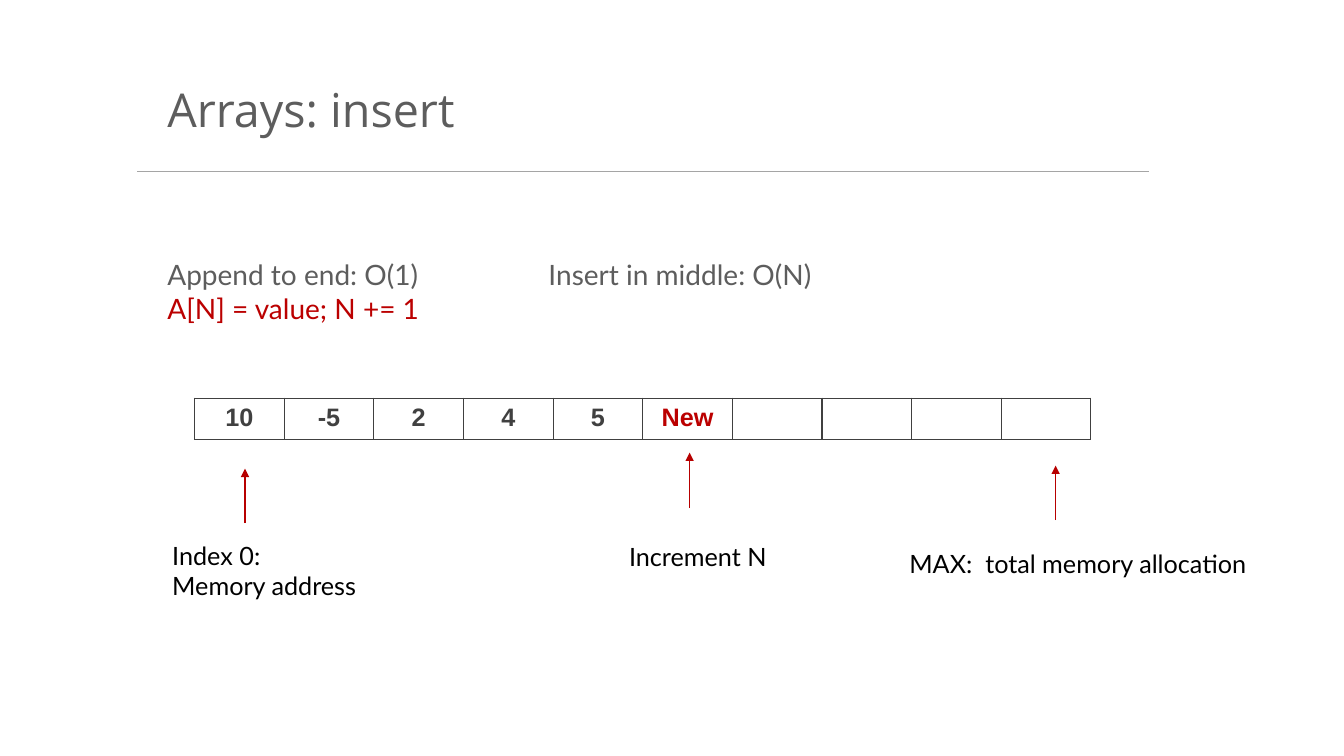
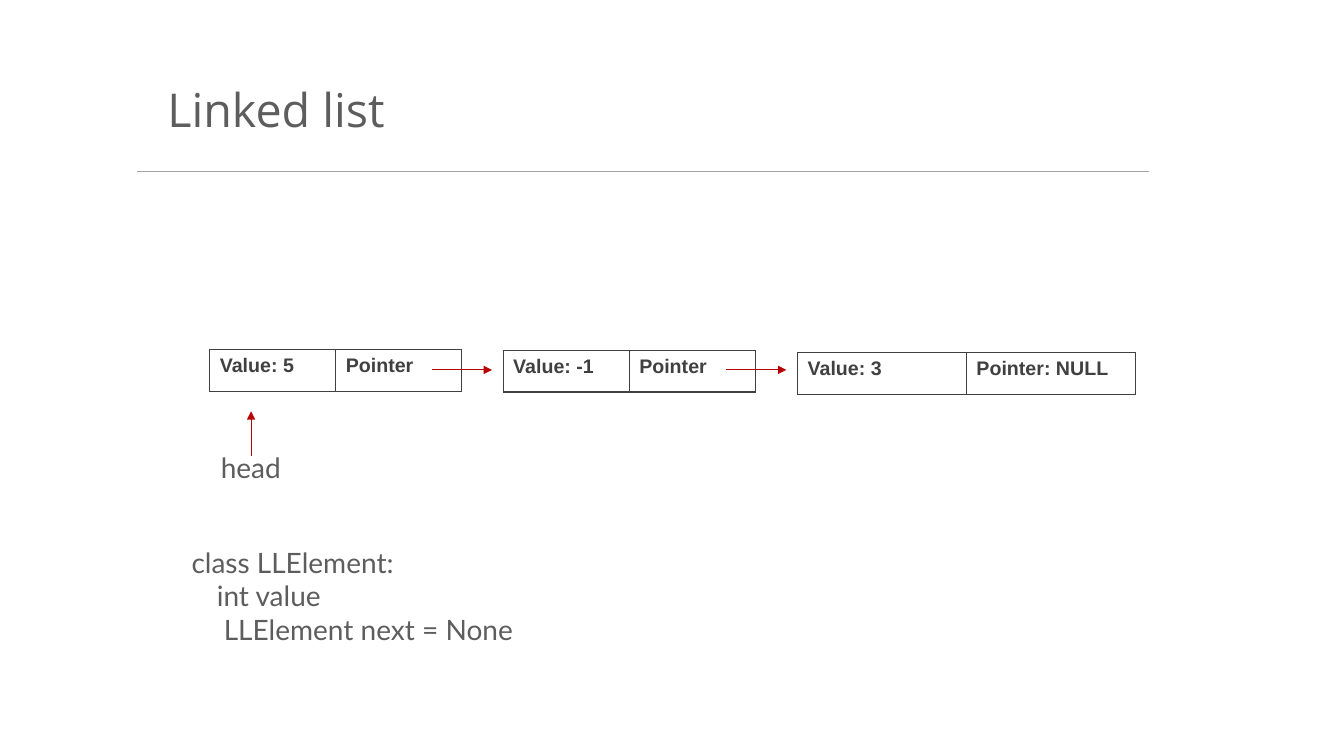
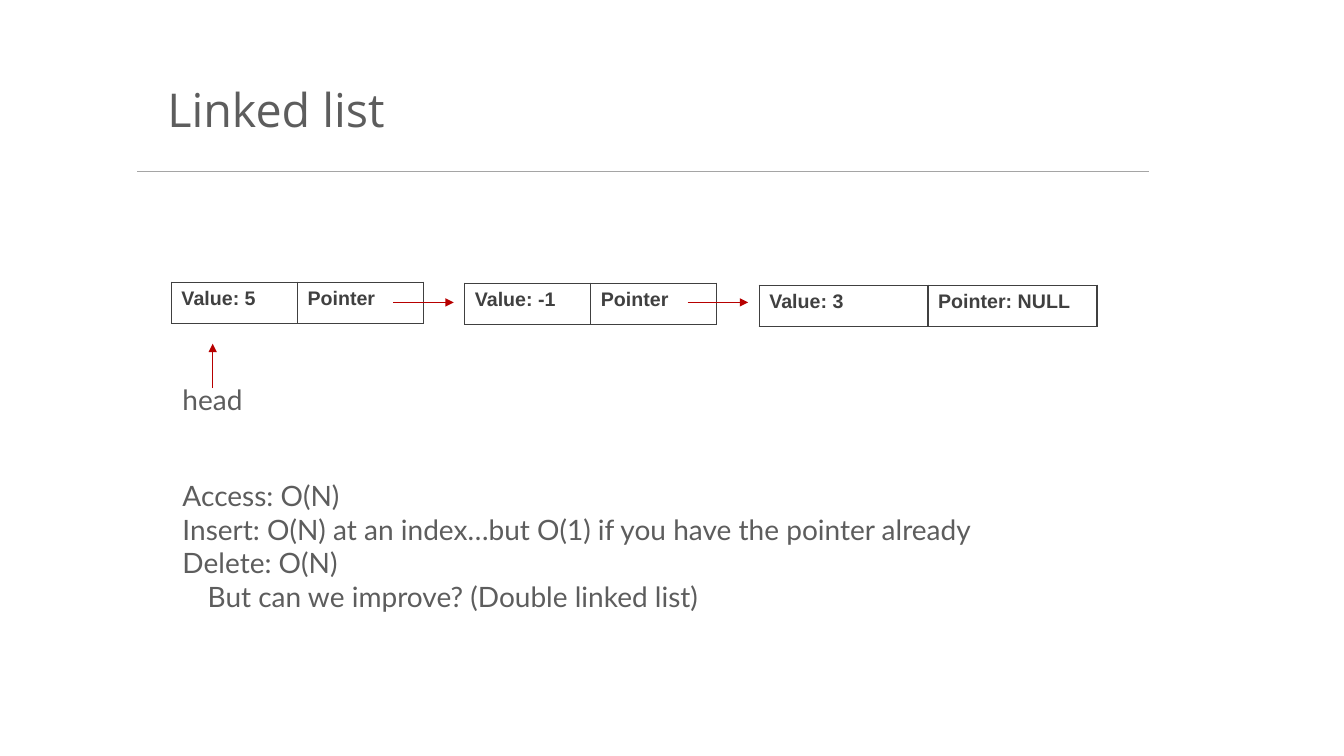
"""Build three slides on inserting into arrays and on linked lists."""
from lxml import etree
from pptx import Presentation
from pptx.dml.color import RGBColor
from pptx.enum import shapes, text
from pptx.oxml import ns
from pptx.util import Inches, Pt

GREY = RGBColor(0x5D, 0x5D, 0x5D)
DARK = RGBColor(0x40, 0x40, 0x40)
RULE = RGBColor(0xA5, 0xA5, 0xA5)
BLACK = RGBColor(0, 0, 0)
RED = RGBColor(0xBB, 0, 0)
ARROW = RGBColor(0xB7, 0, 0)
LEFT, CENTER = text.PP_ALIGN.LEFT, text.PP_ALIGN.CENTER
INDENT, DEEP = 0.25, 0.5
ROW_HEIGHT = 0.41

array = {
    "title": "Arrays: insert",
    "tables": [(1.93, 3.95, 8.89, ["10", "-5", "2", "4", "5", "New", "", "", "", ""], 18, CENTER)],
    "arrows": [(2.43, 5.19, 2.43, 4.65), (6.84, 5.04, 6.84, 4.49), (10.47, 5.16, 10.47, 4.62)],
    "notes": [
        (1.36, 2.51, 3.24, 3.29, [("Append to end: O(1)", INDENT, GREY),
                                  ("A[N] = value; N += 1", INDENT, RED)]),
        (5.14, 2.51, 3.24, 3.29, [("Insert in middle: O(N)", INDENT, GREY)]),
    ],
    "labels": [
        (1.61, 5.31, 2.31, 1.01, ["Index 0:", "Memory address"]),
        (6.14, 5.32, 2.48, 0.4, ["Increment N"]),
        (8.92, 5.39, 3.68, 0.4, ["MAX:  total memory allocation"]),
    ],
}
contents = [array]

class_note = (1.6, 5.36, 9.65, 1.32, [
    ("class LLElement:", INDENT, GREY),
    ("int value", DEEP, GREY),
    ("LLElement next = None", 0.57, GREY),
])
cost_note = (1.51, 4.7, 9.65, 1.53, [
    ("Access: O(N)", INDENT, GREY),
    ("Insert: O(N) at an index…but O(1) if you have the pointer already", INDENT, GREY),
    ("Delete: O(N)", INDENT, GREY),
    ("But can we improve? (Double linked list)", DEEP, GREY),
])
nodes = [
    (0, 0, 2.5, ["Value: 5", "Pointer"]),
    (2.91, 0.01, 2.5, ["Value: -1", "Pointer"]),
    (5.83, 0.03, 3.35, ["Value: 3", "Pointer: NULL"]),
]
for left, top, note in [(2.08, 3.47, class_note), (1.7, 2.8, cost_note)]:
    pointers = [(left + start, top + 0.2, left + start + 0.6, top + 0.2) for start in (2.2, 5.12)]
    contents.append({
        "title": "Linked list",
        "tables": [(left + x, top + y, width, cells, 14, LEFT) for x, y, width, cells in nodes],
        "arrows": pointers + [(left + 0.41, top + 1.05, left + 0.41, top + 0.61)],
        "notes": [note, (left - 0.19, top + 0.95, 2.3, 0.44, [("head", INDENT, GREY)])],
        "labels": [],
    })

deck = Presentation()
deck.slide_width, deck.slide_height = Inches(13.33), Inches(7.5)

for content in contents:
    page = deck.slides.add_slide(deck.slide_layouts[6])

    for left, top, width, cells, size, align in content["tables"]:
        table = page.shapes.add_table(1, len(cells), Inches(left), Inches(top),
                                      Inches(width), Inches(ROW_HEIGHT)).table
        table.first_row = table.horz_banding = False
        for column, value in enumerate(cells):
            table.columns[column].width = Inches(width / len(cells))
            cell = table.cell(0, column)
            properties = cell._tc.get_or_add_tcPr()
            for side in ("a:lnL", "a:lnR", "a:lnT", "a:lnB"):
                border = etree.SubElement(properties, ns.qn(side), w=str(Pt(1)))
                fill = etree.SubElement(border, ns.qn("a:solidFill"))
                etree.SubElement(fill, ns.qn("a:srgbClr"), val=str(DARK))
            cell.fill.background()
            if value:
                para = cell.text_frame.paragraphs[0]
                para.alignment = align
                span = para.add_run()
                span.text = value
                span.font.name, span.font.size, span.font.bold = "Arial", Pt(size), True
                span.font.color.rgb = RED if value == "New" else DARK

    lines = [((1.36, 1.7, 11.4, 1.7), RULE, 1, False)]
    lines += [(ends, ARROW, 0.75, True) for ends in content["arrows"]]
    for ends, colour, weight, pointed in lines:
        line = page.shapes.add_connector(shapes.MSO_CONNECTOR.STRAIGHT, *map(Inches, ends))
        line.line.color.rgb = colour
        line.line.width = Pt(weight)
        if pointed:
            etree.SubElement(line.line._get_or_add_ln(), ns.qn("a:tailEnd"), type="triangle")
        etree.SubElement(line._element.spPr, ns.qn("a:effectLst"))

    title = (1.36, 0.78, 6.43, 0.71, [(content["title"], INDENT, GREY)])
    blocks = [(title, "Open Sans", 33.3, 0.05)]
    blocks += [(note, "Lato", 20, 0.05) for note in content["notes"]]
    for *place, rows in content["labels"]:
        blocks.append(((*place, [(row, 0, BLACK) for row in rows]), "Lato", 18, None))

    for (*place, rows), font, size, inset in blocks:
        frame = page.shapes.add_textbox(*map(Inches, place)).text_frame
        frame.word_wrap = True
        if inset:
            frame.margin_left = frame.margin_right = Inches(inset)
            frame.margin_top = frame.margin_bottom = Inches(inset)
        for number, (words, margin, colour) in enumerate(rows):
            para = frame.add_paragraph() if number else frame.paragraphs[0]
            para._p.get_or_add_pPr().set("marL", str(Inches(margin)))
            if font == "Open Sans":
                frame.vertical_anchor = text.MSO_ANCHOR.MIDDLE
                para.line_spacing, para.space_before = 0.8, Pt(10)
            span = para.add_run()
            span.text = words
            span.font.name, span.font.size = font, Pt(size)
            span.font.color.rgb = colour

deck.save("out.pptx")
